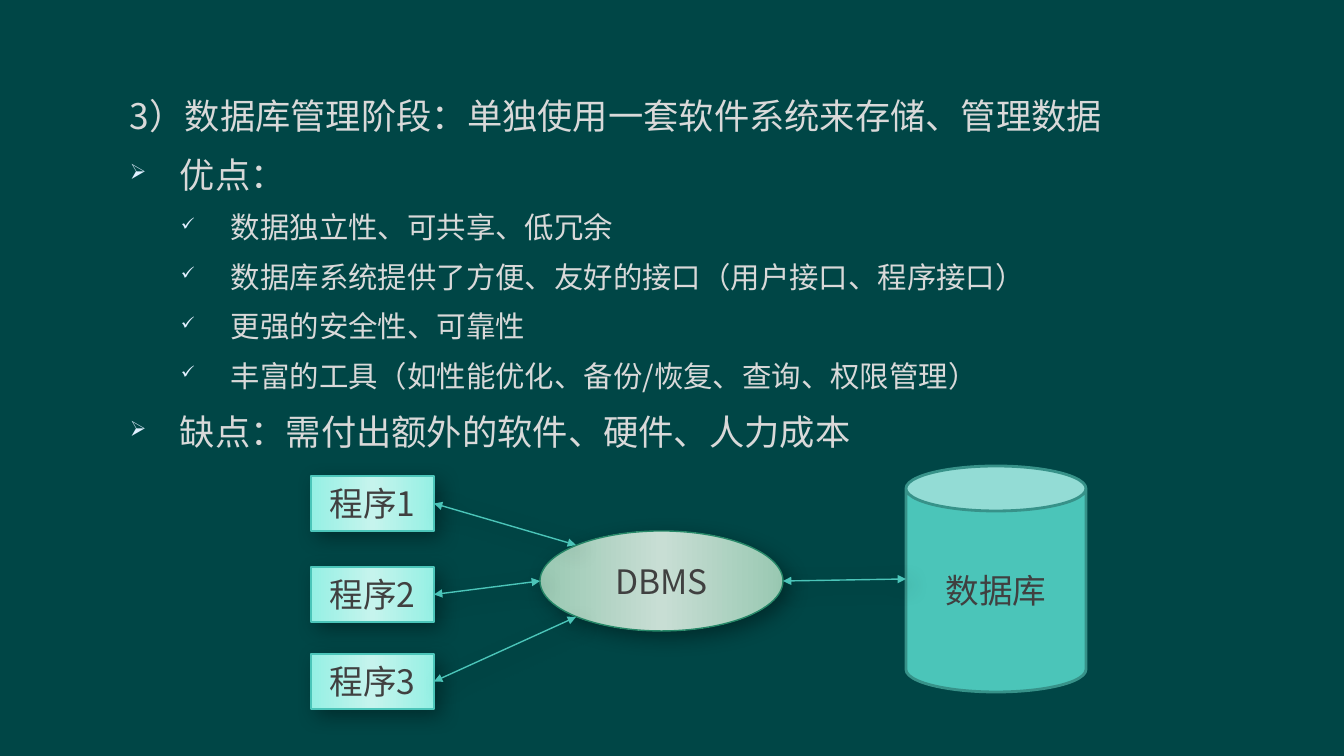
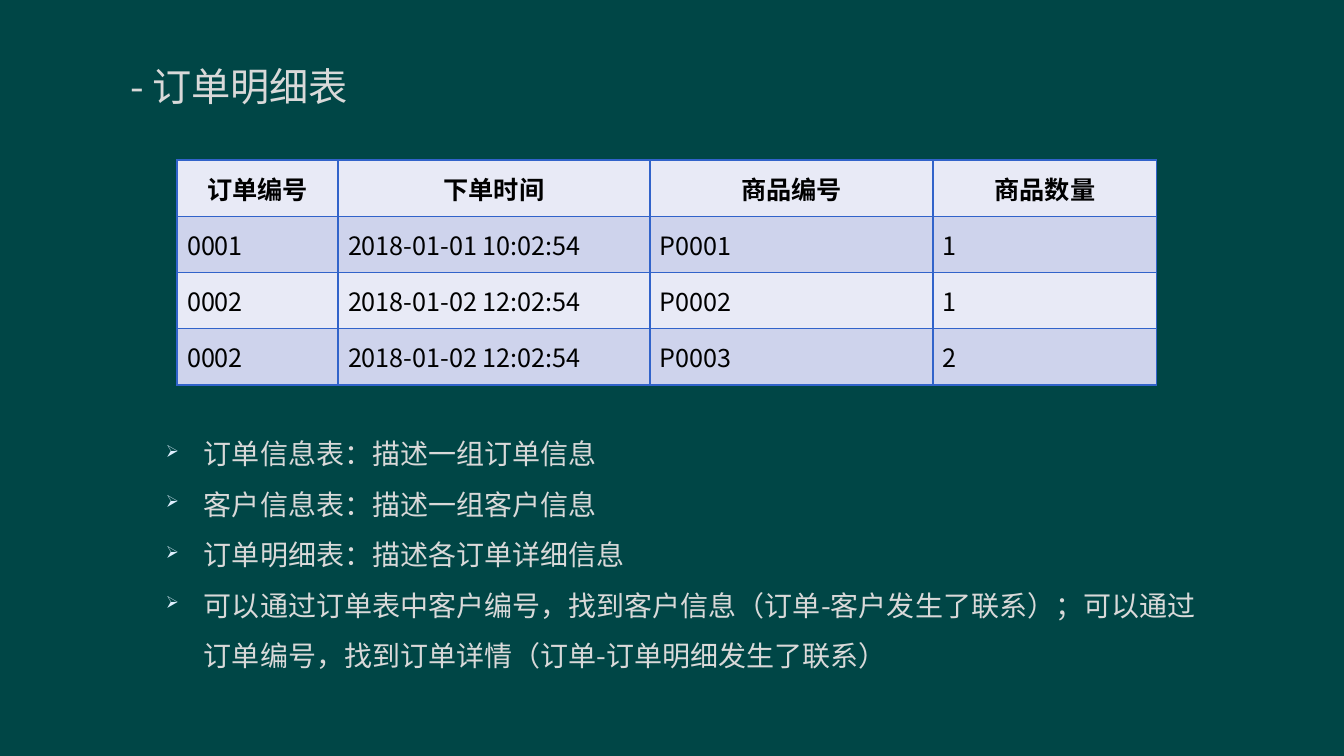
from dataclasses import dataclass

from lxml import etree
from pptx import Presentation
from pptx import util as u
from pptx.dml.color import RGBColor
from pptx.enum import shapes, text
from pptx.oxml.ns import qn


@dataclass(frozen=True)
class Theme:
    """Colours, type sizes and font of the deck."""
    font: str = "Noto Sans CJK SC"
    back: str = "004646"
    pale: str = "D9D9D9"
    bullet: str = "E1F0FF"
    label: str = "404040"
    cell: str = "000000"
    teal: str = "4BC5B9"
    teal_edge: str = "379289"
    mint: tuple = ("95F0E4", "C6F4ED", "95F0E4")
    sage: tuple = ("99C8B2", "C8DED4", "99C8B2")
    sage_edge: str = "268868"
    bands: tuple = ("E8EAF6", "CED3EC")
    grid: str = "3163CA"
    title_size: float = 28
    lead_size: float = 25.2
    label_size: float = 24
    detail_size: float = 21
    note_size: float = 20
    table_size: float = 18


THEME = Theme()


def px(length):
    """Turn pixels into EMU."""
    return u.Emu(round(length * 914400 / 100.8))


def rgb(code):
    """Turn a hex code into a colour."""
    return RGBColor.from_string(code)


def add(parent, tag, **attributes):
    """Append a DrawingML element."""
    values = {name: str(value) for name, value in attributes.items()}
    return etree.SubElement(parent, qn(f"a:{tag}"), values)


def write(paragraph, words, size, color=THEME.pale, bold=False, align=None,
          leading=None, left=0, hang=0, bullet=None):
    """Write one formatted paragraph."""
    run = paragraph.add_run()
    run.text = words
    run.font.size, run.font.bold = u.Pt(size), bold
    run.font.name = THEME.font
    run.font.color.rgb = rgb(color)
    add(run.font._element, "ea", typeface=THEME.font)
    paragraph.alignment = align or text.PP_ALIGN.LEFT
    if leading:
        paragraph.line_spacing = u.Pt(round(size * 1.2 * leading, 1))
        paragraph.space_before = u.Pt(0)
    if bullet:
        props = paragraph._p.get_or_add_pPr()
        props.set("marL", str(px(left)))
        props.set("indent", str(-px(hang)))
        add(add(props, "buClr"), "srgbClr", val=THEME.bullet)
        add(props, "buSzPct", val=60000)
        add(props, "buChar", char=bullet)


class Deck:
    """Holds the presentation and draws on its current slide."""

    def __init__(self):
        """Set the slide size and the shared background."""
        self.show = Presentation()
        self.show.slide_width, self.show.slide_height = px(1344), px(756)
        fill = self.show.slide_master.background.fill
        fill.solid()
        fill.fore_color.rgb = rgb(THEME.back)

    def new_slide(self, title=None):
        """Start a slide, with a title when one is given."""
        layout = self.show.slide_layouts[5 if title else 6]
        self.slide = self.show.slides.add_slide(layout)
        if title:
            holder = self.slide.shapes.title
            holder.left, holder.top, holder.width, holder.height = map(px, (120, 31, 1178, 81))
            self.fill_frame(holder.text_frame, [(title, dict(size=THEME.title_size))], 1.5)

    def fill_frame(self, frame, lines, leading):
        """Fill a text frame from its top with paragraphs."""
        frame.word_wrap = True
        frame.auto_size = text.MSO_AUTO_SIZE.NONE
        frame.vertical_anchor = text.MSO_ANCHOR.TOP
        frame.margin_left = frame.margin_right = px(10)
        frame.margin_top, frame.margin_bottom = px(8), px(5)
        for index, (words, style) in enumerate(lines):
            paragraph = frame.add_paragraph() if index else frame.paragraphs[0]
            write(paragraph, words, leading=leading, **style)

    def body(self, box, lines, leading):
        """Add a text box."""
        frame = self.slide.shapes.add_textbox(*map(px, box)).text_frame
        self.fill_frame(frame, lines, leading)

    def effects(self, shape, shadow=True):
        """Give a shape the soft shadow or none."""
        effects = add(shape._element.spPr, "effectLst")
        if shadow:
            cast = add(effects, "outerShdw", blurRad=u.Pt(15), dist=u.Pt(6.2),
                       dir=45 * 60000, algn="tl", rotWithShape=0)
            add(add(cast, "srgbClr", val="000000"), "alpha", val=36000)

    def node(self, kind, box, label, fill, edge, weight=1):
        """Add a labelled shape; a tuple of colours makes a shadowed gradient."""
        shape = self.slide.shapes.add_shape(kind, *map(px, box))
        blend = isinstance(fill, tuple)
        if blend:
            shape.fill.gradient()
            shape.fill.gradient_angle = 0
            stops = shape._element.spPr.find(f".//{qn('a:gsLst')}")
            for stop in list(stops):
                stops.remove(stop)
            for index, color in enumerate(fill):
                add(add(stops, "gs", pos=index * 50000), "srgbClr", val=color)
        else:
            shape.fill.solid()
            shape.fill.fore_color.rgb = rgb(fill)
        shape.line.color.rgb, shape.line.width = rgb(edge), u.Pt(weight)
        self.effects(shape, blend)
        frame = shape.text_frame
        frame.vertical_anchor = text.MSO_ANCHOR.MIDDLE
        write(frame.paragraphs[0], label, THEME.label_size, THEME.label,
              align=text.PP_ALIGN.CENTER)

    def arrow(self, start, end):
        """Add a double-headed arrow."""
        link = self.slide.shapes.add_connector(
            shapes.MSO_CONNECTOR.STRAIGHT, *map(px, (*start, *end)))
        link.line.color.rgb, link.line.width = rgb(THEME.teal), u.Pt(1)
        for tip in ("headEnd", "tailEnd"):
            add(link.line._get_or_add_ln(), tip, type="triangle")
        self.effects(link)

    def table(self, left, top, widths, row_height, rows):
        """Add a banded table with a bold, centred header."""
        grid = self.slide.shapes.add_table(
            len(rows), len(widths), px(left), px(top),
            px(sum(widths)), px(row_height * len(rows))).table
        for column, width in zip(grid.columns, widths):
            column.width = px(width)
        for r, row in enumerate(rows):
            grid.rows[r].height = px(row_height)
            for c, words in enumerate(row):
                cell = grid.cell(r, c)
                props = cell._tc.get_or_add_tcPr()
                for side in ("lnL", "lnR", "lnT", "lnB"):
                    border = add(props, side, w=u.Pt(1))
                    add(add(border, "solidFill"), "srgbClr", val=THEME.grid)
                cell.fill.solid()
                cell.fill.fore_color.rgb = rgb(THEME.bands[r % 2])
                cell.vertical_anchor = text.MSO_ANCHOR.MIDDLE
                write(cell.text_frame.paragraphs[0], words, THEME.table_size, THEME.cell,
                      bold=r == 0, align=None if r else text.PP_ALIGN.CENTER)


def database_stage(deck):
    """Build the slide on the database management stage."""
    deck.new_slide()
    lead = dict(size=THEME.lead_size)
    point = dict(lead, left=50, hang=50, bullet="➢")
    detail = dict(size=THEME.detail_size, left=101, hang=50, bullet="✓")
    deck.body((120, 69, 1178, 397), [
        ("3）数据库管理阶段：单独使用一套软件系统来存储、管理数据", lead),
        ("优点：", point),
        ("数据独立性、可共享、低冗余", detail),
        ("数据库系统提供了方便、友好的接口（用户接口、程序接口）", detail),
        ("更强的安全性、可靠性", detail),
        ("丰富的工具（如性能优化、备份/恢复、查询、权限管理）", detail),
        ("缺点：需付出额外的软件、硬件、人力成本", point),
    ], 1.4)
    kinds = shapes.MSO_SHAPE
    deck.node(kinds.OVAL, (540, 531, 243, 100), "DBMS", THEME.sage, THEME.sage_edge)
    programs = zip((476, 567, 654), ((576, 545), (540, 581), (576, 617)))
    for number, (top, dbms_end) in enumerate(programs, 1):
        deck.node(kinds.RECTANGLE, (311, top, 123, 55), f"程序{number}", THEME.mint, THEME.teal)
        deck.arrow((434, top + 27.5), dbms_end)
    deck.node(kinds.CAN, (906, 466, 180, 226), "数据库", THEME.teal, THEME.teal_edge, 2)
    deck.arrow((783, 581), (906, 579))


def order_details(deck):
    """Build the slide on the order detail table."""
    deck.new_slide("- 订单明细表")
    deck.table(177, 160, (161, 312, 283, 224), 56.25, [
        ("订单编号", "下单时间", "商品编号", "商品数量"),
        ("0001", "2018-01-01 10:02:54", "P0001", "1"),
        ("0002", "2018-01-02 12:02:54", "P0002", "1"),
        ("0002", "2018-01-02 12:02:54", "P0003", "2"),
    ])
    note = dict(size=THEME.note_size, left=38, hang=38, bullet="➢")
    notes = (
        "订单信息表：描述一组订单信息",
        "客户信息表：描述一组客户信息",
        "订单明细表：描述各订单详细信息",
        "可以通过订单表中客户编号，找到客户信息（订单-客户发生了联系）；"
        "可以通过订单编号，找到订单详情（订单-订单明细发生了联系）",
    )
    deck.body((156, 412, 1055, 331), [(words, note) for words in notes], 1.5)


deck = Deck()
database_stage(deck)
order_details(deck)
deck.show.save("out.pptx")
